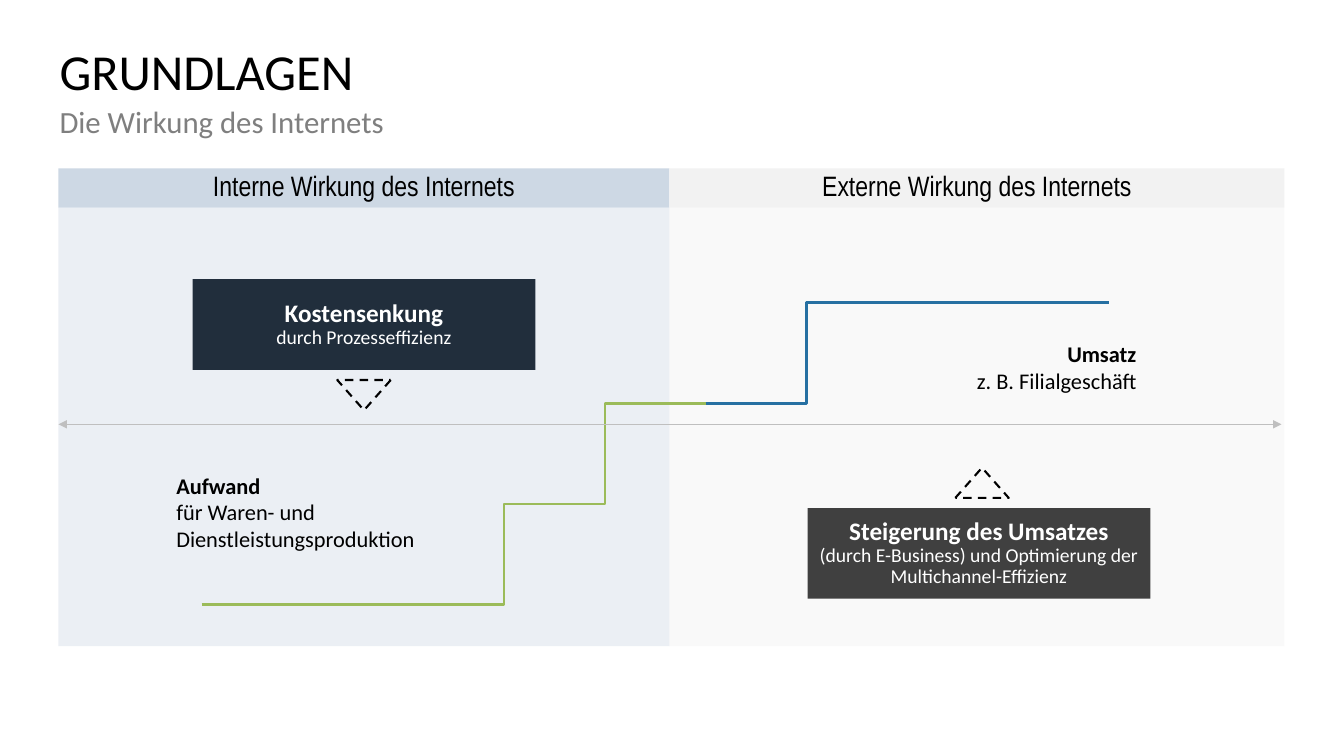
from lxml import etree
from pptx import Presentation
from pptx.dml.color import RGBColor
from pptx.enum.dml import MSO_LINE
from pptx.enum.shapes import MSO_CONNECTOR, MSO_SHAPE
from pptx.enum.text import MSO_ANCHOR, MSO_AUTO_SIZE, PP_ALIGN
from pptx.oxml.ns import qn
from pptx.util import Inches, Pt

RECT, TRI = MSO_SHAPE.RECTANGLE, MSO_SHAPE.ISOSCELES_TRIANGLE
LEFT, MID, RIGHT = PP_ALIGN.LEFT, PP_ALIGN.CENTER, PP_ALIGN.RIGHT
TOP, CENTER = MSO_ANCHOR.TOP, MSO_ANCHOR.MIDDLE
NONE, DASH = MSO_AUTO_SIZE.NONE, MSO_LINE.DASH
STRAIGHT = MSO_CONNECTOR.STRAIGHT

BLACK, WHITE = RGBColor(0, 0, 0), RGBColor(255, 255, 255)
GREY, SILVER = RGBColor(0x7F, 0x7F, 0x7F), RGBColor(0xBF, 0xBF, 0xBF)
PALE, ICE = RGBColor(0xF2, 0xF2, 0xF2), RGBColor(0xCD, 0xD8, 0xE4)
NAVY, COAL = RGBColor(0x21, 0x2E, 0x3C), RGBColor(0x40, 0x40, 0x40)
GREEN, BLUE = RGBColor(0x9B, 0xBB, 0x59), RGBColor(0x26, 0x70, 0xA2)

# Content
TITLE = "GRUNDLAGEN"
SUBTITLE = "Die Wirkung des Internets"
HEADS = [("Externe Wirkung des Internets", 1, PALE),
         ("Interne Wirkung des Internets", 0, ICE)]
# Callouts: text, centre x, top, fill
CALLS = [(["Kostensenkung", "durch Prozesseffizienz"], 3.61, 2.77, NAVY),
         (["Steigerung des Umsatzes",
           "(durch E-Business) und Optimierung der\nMultichannel-Effizienz"],
          9.71, 5.04, COAL)]
# Labels: text, box, alignment
LABELS = [(["Aufwand", "für Waren- und Dienstleistungsproduktion"],
           (1.65, 4.63, 2.91, 0.91), LEFT),
          (["Umsatz", "z. B. Filialgeschäft"],
           (9.4, 3.33, 1.97, 0.64), RIGHT)]
# Triangles: centre x, top, turn
TRIS = [(3.61, 3.77, 180), (9.74, 4.64, 0)]
# Curves: colour, start, then Bézier pieces of three points
CURVES = [
    (GREEN, (1.62, 6.08), [((2.34, 6.02), (3.07, 5.95), (3.67, 5.8)),
                           ((4.27, 5.65), (4.78, 5.44), (5.24, 5.2)),
                           ((5.71, 4.96), (6.22, 4.51), (6.45, 4.35)),
                           ((6.68, 4.19), (6.65, 4.21), (6.62, 4.23))]),
    (BLUE, (6.65, 4.21), [((6.95, 3.95), (7.25, 3.7), (7.81, 3.48)),
                          ((8.37, 3.26), (9.4, 2.98), (10, 2.88)),
                          ((10.62, 2.78), (10.97, 2.75), (11.34, 2.73))])]

# Grid: column edges and row edges
COLS = (0.58, 6.64, 12.74)
HEAD, BODY, FOOT = 1.67, 2.06, 6.41
AXIS = 4.21
CALL_W, CALL_H = 3.4, 0.9
TRI_W, TRI_H = 0.53, 0.3
STEPS = 16

deck = Presentation()
deck.slide_width, deck.slide_height = Inches(13.33), Inches(7.5)
slide = deck.slides.add_slide(deck.slide_layouts[5])
shapes = slide.shapes


def write(shape, lines, sizes, color=BLACK, font="Calibri", align=LEFT,
          anchor=TOP, inset=None, lead=None, bold=False):
    """Fill a shape with lines; bold marks the first line only."""
    frame = shape.text_frame
    frame.word_wrap, frame.auto_size = True, NONE
    frame.vertical_anchor = anchor
    if inset is not None:
        frame.margin_left = frame.margin_right = Inches(inset)
        frame.margin_top = frame.margin_bottom = Inches(inset)
    for i, (line, size) in enumerate(zip(lines, sizes)):
        para = frame.add_paragraph() if i else frame.paragraphs[0]
        para.alignment, para.line_spacing = align, lead
        for j, part in enumerate(line.split("\n")):
            if j:
                para.add_line_break()
            run = para.add_run()
            run.text = part
            run.font.size, run.font.name = Pt(size), font
            run.font.bold = bold and i == 0
            run.font.color.rgb = color


def place(kind, box, fill=None, alpha=None):
    shape = shapes.add_shape(kind, *map(Inches, box))
    shape.shadow.inherit = False
    shape.line.fill.background()
    if fill is None:
        shape.fill.background()
    else:
        shape.fill.solid()
        shape.fill.fore_color.rgb = fill
    if alpha:
        tint = shape.fill._xPr.find(".//" + qn("a:srgbClr"))
        etree.SubElement(tint, qn("a:alpha"), val=str(alpha * 1000))
    return shape


def bezier(a, b, c, d, t):
    u = 1 - t
    return tuple(u**3 * p + 3 * u * u * t * q + 3 * u * t * t * r + t**3 * s
                 for p, q, r, s in zip(a, b, c, d))


def curve(color, start, parts):
    pen = shapes.build_freeform(*start, scale=Inches(1))
    dots, last = [], start
    for one, two, end in parts:
        dots += [bezier(last, one, two, end, k / STEPS)
                 for k in range(1, STEPS + 1)]
        last = end
    pen.add_line_segments(dots, close=False)
    shape = pen.convert_to_shape()
    shape.shadow.inherit = False
    shape.fill.background()
    shape.line.color.rgb, shape.line.width = color, Pt(2)


# Column backgrounds
for _, col, color in HEADS:
    x, end = COLS[col:col + 2]
    place(RECT, (x, BODY, end - x, FOOT - BODY), color, alpha=40)

# Title and subtitle
title = shapes.title
title.left, title.top = Inches(0.59), Inches(0.47)
title.width, title.height = Inches(12.15), Inches(1.18)
write(title, [TITLE], [36], inset=0, lead=0.9)
sub = shapes.add_textbox(*map(Inches, (0.59, 1.06, 12.15, 0.59)))
write(sub, [SUBTITLE], [22], color=GREY, inset=0, lead=0.9)

# Curves and their labels
for item in CURVES:
    curve(*item)
for lines, box, align in LABELS:
    label = shapes.add_textbox(*map(Inches, box))
    write(label, lines, [16, 16], align=align, bold=True)

# Callouts and triangles
for lines, x, y, color in CALLS:
    call = place(RECT, (x - CALL_W / 2, y, CALL_W, CALL_H), color)
    write(call, lines, [18, 14], color=WHITE, align=MID, anchor=CENTER,
          inset=0.04, lead=0.9, bold=True)
for x, y, turn in TRIS:
    tri = place(TRI, (x - TRI_W / 2, y, TRI_W, TRI_H))
    tri.rotation = turn
    tri.line.color.rgb, tri.line.width = BLACK, Pt(1.5)
    tri.line.dash_style = DASH

# Axis with an arrowhead at each end
axis = shapes.add_connector(STRAIGHT, Inches(12.71), Inches(AXIS),
                            Inches(COLS[0]), Inches(AXIS))
axis.line.color.rgb, axis.line.width = SILVER, Pt(0.75)
for tag in ("a:headEnd", "a:tailEnd"):
    etree.SubElement(axis.line._get_or_add_ln(), qn(tag), type="triangle")
etree.SubElement(axis._element.spPr, qn("a:effectLst"))

# Column heads
for text, col, color in reversed(HEADS):
    x, end = COLS[col:col + 2]
    head = place(RECT, (x, HEAD, end - x, BODY - HEAD), color)
    write(head, [text], [20], font="Arial Narrow", align=MID, inset=0)

deck.save("out.pptx")
